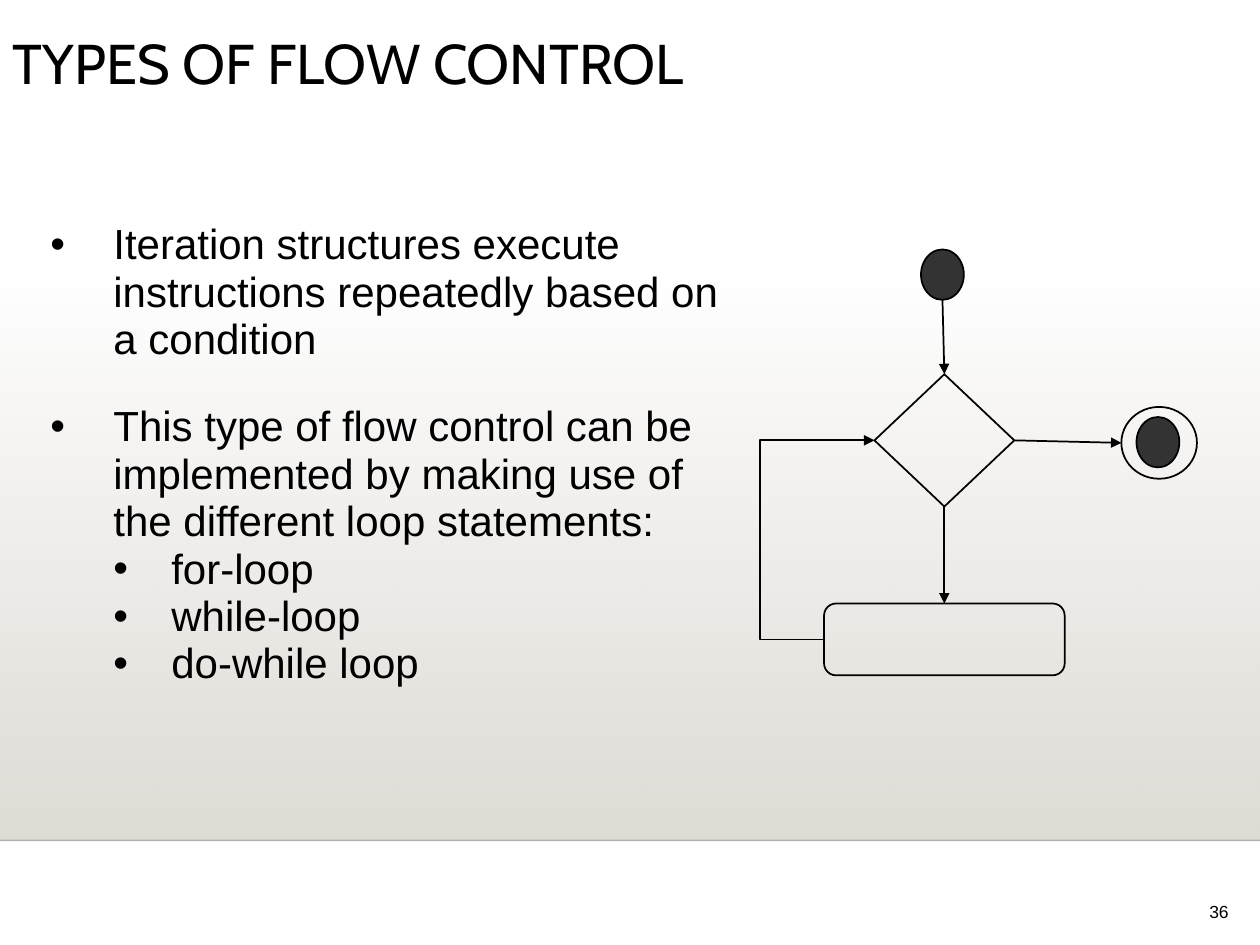
from pptx import Presentation
from pptx.dml.color import RGBColor
from pptx.enum.shapes import MSO_CONNECTOR as Link, MSO_SHAPE as Shape
from pptx.enum.text import MSO_ANCHOR as Anchor, MSO_AUTO_SIZE as Fit, PP_ALIGN as Align
from pptx.oxml.ns import qn
from pptx.util import Inches, Pt
from lxml.etree import SubElement

COLUMNS, ROWS = 100, 75


def color(value):
    return RGBColor.from_string(value)


class FlowSlide:
    ink, dot, sand = "000000", "333333", "DFDBD5"
    title_font, body_font = "Cabin", "Arial"
    spacing = 0.94

    def __init__(self, deck):
        self.page = deck.slides.add_slide(deck.slide_layouts[1])
        self.shapes = self.page.shapes
        self.column = deck.slide_width / COLUMNS
        self.row = deck.slide_height / ROWS

    def area(self, left, top, width, height):
        return (int(left * self.column), int(top * self.row),
                int(width * self.column), int(height * self.row))

    def place(self, box, area, anchor=Anchor.TOP):
        box.left, box.top, box.width, box.height = self.area(*area)
        frame = box.text_frame
        frame.word_wrap = True
        frame.auto_size = Fit.NONE
        frame.vertical_anchor = anchor
        return frame

    def set_text(self, para, text, size, font, align=Align.LEFT, before=0):
        para.text = text
        para.alignment = align
        para.line_spacing = self.spacing
        para.space_before = Pt(before)
        para.font.size = Pt(size)
        para.font.name = font
        para.font.color.rgb = color(self.ink)

    def title(self, text, area):
        frame = self.place(self.shapes.title, area)
        self.set_text(frame.paragraphs[0], text, 32, self.title_font)

    def bullets(self, items, area):
        frame = self.place(self.page.placeholders[1], area)
        for index, (level, before, text) in enumerate(items):
            para = frame.add_paragraph() if index else frame.paragraphs[0]
            para.level = level
            left, hang = ((0.5, 0.5), (0.96, 0.46))[level]
            props = para._p.get_or_add_pPr()
            props.set("marL", str(Inches(left)))
            props.set("indent", str(-Inches(hang)))
            SubElement(props, qn("a:buFont"), typeface=self.body_font)
            SubElement(props, qn("a:buChar"), char="•")
            self.set_text(para, text, 24, self.body_font, before=before)

    def number(self, text, area):
        box = self.shapes.add_textbox(*self.area(*area))
        frame = self.place(box, area, Anchor.BOTTOM)
        self.set_text(frame.paragraphs[0], text, 10, self.body_font, Align.RIGHT)

    def node(self, kind, area, fill=None):
        node = self.shapes.add_shape(kind, *self.area(*area))
        node.shadow.inherit = False
        if fill:
            node.fill.solid()
            node.fill.fore_color.rgb = color(fill)
        else:
            node.fill.background()
        node.line.color.rgb = color(self.ink)
        node.line.width = Pt(1)
        return node

    def line(self, start, end, kind=Link.STRAIGHT, arrow=True):
        line = self.shapes.add_connector(kind, *map(int, (*start, *end)))
        line.line.color.rgb = color(self.ink)
        line.line.width = Pt(1)
        if arrow:
            SubElement(line.line._get_or_add_ln(), qn("a:tailEnd"), type="triangle")
        SubElement(line._element.spPr, qn("a:effectLst"))
        return line

    def loop_back(self, source, target, turn):
        start, end = left_of(source), left_of(target)
        line = self.line(start, end, Link.ELBOW)
        share = (turn * self.column - start[0]) / (end[0] - start[0])
        geometry = line._element.spPr.find(qn("a:prstGeom"))
        guides = geometry.find(qn("a:avLst"))
        if guides is None:
            guides = SubElement(geometry, qn("a:avLst"))
        SubElement(guides, qn("a:gd"), name="adj1", fmla=f"val {round(share * 100000)}")

    def backdrop(self, top, bottom):
        band = self.shapes.add_shape(Shape.RECTANGLE, *self.area(0, top, COLUMNS, bottom - top))
        band.shadow.inherit = False
        band.line.fill.background()
        band.fill.gradient()
        band.fill.gradient_angle = 270
        for stop in band.fill.gradient_stops:
            stop.color.rgb = color(self.sand)
        edge = self.line((0, bottom * self.row), (COLUMNS * self.column, bottom * self.row), arrow=False)
        for part, alpha in ((band, "0"), (edge, "20000")):
            SubElement(next(part._element.spPr.iter(qn("a:srgbClr"))), qn("a:alpha"), val=alpha)
        for part in (edge, band):
            self.shapes._spTree.insert(2, part._element)


def bottom_of(shape):
    return shape.left + shape.width / 2, shape.top + shape.height


def top_of(shape):
    return shape.left + shape.width / 2, shape.top


def left_of(shape):
    return shape.left, shape.top + shape.height / 2


def right_of(shape):
    return shape.left + shape.width, shape.top + shape.height / 2


def main():
    deck = Presentation()
    deck.slide_width, deck.slide_height = Inches(10), Inches(7.5)
    slide = FlowSlide(deck)
    slide.backdrop(22, 66.7)
    slide.title("TYPES OF FLOW CONTROL", (0, 2.2, 89.2, 10))
    slide.bullets([
        (0, 0, "Iteration structures execute instructions repeatedly based on a condition"),
        (0, 23, "This type of flow control can be implemented by making use of "
                "the different loop statements:"),
        (1, 0, "for-loop"),
        (1, 0, "while-loop"),
        (1, 0, "do-while loop"),
    ], (3, 17.1, 56.9, 50.8))
    slide.number("36", (80, 70.8, 18.5, 2.9))

    decision = slide.node(Shape.DIAMOND, (69.4, 29.7, 11.1, 10.5))
    action = slide.node(Shape.ROUNDED_RECTANGLE, (65.4, 47.9, 19.1, 5.7))
    start = slide.node(Shape.FLOWCHART_CONNECTOR, (73.1, 19.8, 3.4, 4), slide.dot)
    slide.node(Shape.FLOWCHART_CONNECTOR, (90.2, 33.1, 3.4, 4), slide.dot)
    finish = slide.node(Shape.FLOWCHART_CONNECTOR, (89, 32.3, 6, 5.7))

    enter = slide.line(bottom_of(start), top_of(decision))
    enter.end_connect(decision, 0)
    leave = slide.line(right_of(decision), left_of(finish))
    leave.begin_connect(decision, 3)
    repeat = slide.line(bottom_of(decision), top_of(action))
    repeat.begin_connect(decision, 2)
    repeat.end_connect(action, 0)
    slide.loop_back(action, decision, 60.3)
    deck.save("out.pptx")


if __name__ == "__main__":
    main()
